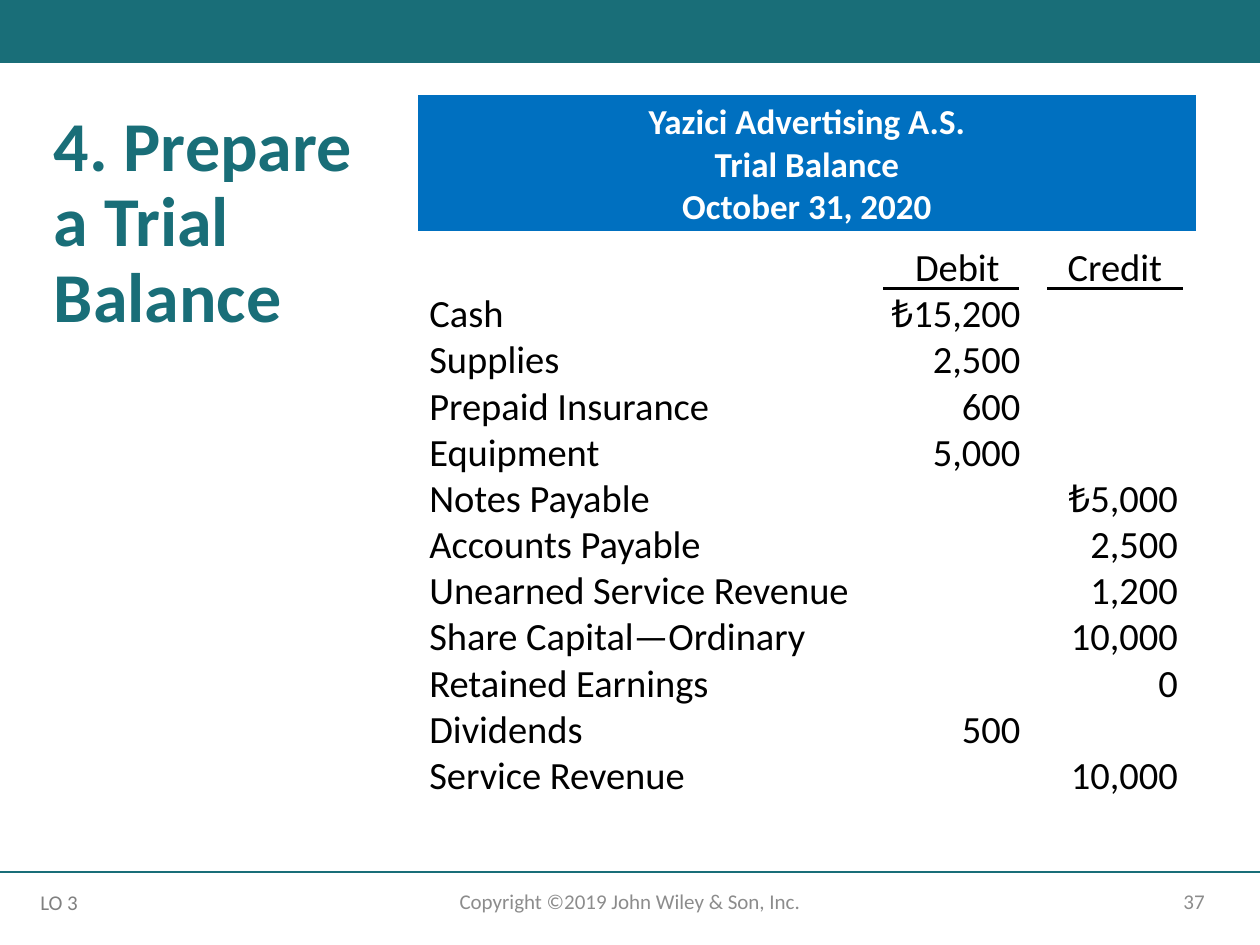
from lxml.etree import SubElement
from pptx import Presentation
from pptx.dml.color import RGBColor
from pptx.enum.shapes import MSO_CONNECTOR, MSO_SHAPE
from pptx.enum.text import MSO_ANCHOR, PP_ALIGN
from pptx.oxml.ns import qn
from pptx.util import Inches, Pt

TEAL = RGBColor(0x19, 0x6E, 0x78)
BLUE = RGBColor(0x00, 0x70, 0xC0)
WHITE = RGBColor(0xFF, 0xFF, 0xFF)
BLACK = RGBColor(0x00, 0x00, 0x00)
FOOTER_GRAY = RGBColor(0x8C, 0x8C, 0x8C)
OBJECTIVE_GRAY = RGBColor(0x80, 0x80, 0x80)

HEADING = ["Yazici Advertising A.S.", "Trial Balance", "October 31, 2020"]
ACCOUNTS = [
    ("Cash", "₺15,200", ""),
    ("Supplies", "2,500", ""),
    ("Prepaid Insurance", "600", ""),
    ("Equipment", "5,000", ""),
    ("Notes Payable", "", "₺5,000"),
    ("Accounts Payable", "", "2,500"),
    ("Unearned Service Revenue", "", "1,200"),
    ("Share Capital—Ordinary", "", "10,000"),
    ("Retained Earnings", "", "0"),
    ("Dividends", "500", ""),
    ("Service Revenue", "", "10,000"),
]
COLUMN_TABS = [(4.19, "ctr"), (5.44, "ctr")]
AMOUNT_TABS = [(4.69, "r"), (5.94, "r")]


class SlideBuilder:
    font_name = "Calibri"

    def __init__(self, slide):
        self.slide = slide

    def style(self, paragraph, size, color, bold=False, align=PP_ALIGN.LEFT):
        paragraph.alignment = align
        font = paragraph.font
        font.name = self.font_name
        font.size = Pt(size)
        font.bold = bold
        font.color.rgb = color

    def band(self, left, top, width, height, color):
        band = self.slide.shapes.add_shape(
            MSO_SHAPE.RECTANGLE, Inches(left), Inches(top), Inches(width), Inches(height))
        band.shadow.inherit = False
        band.fill.solid()
        band.fill.fore_color.rgb = color
        band.line.fill.background()

    def rule(self, start, end, y, color, weight):
        rule = self.slide.shapes.add_connector(
            MSO_CONNECTOR.STRAIGHT, Inches(start), Inches(y), Inches(end), Inches(y))
        rule.line.color.rgb = color
        rule.line.width = Pt(weight)
        SubElement(rule._element.spPr, qn("a:effectLst"))

    def text(self, left, top, width, height, lines, size, color, bold=False,
             align=PP_ALIGN.LEFT, anchor=MSO_ANCHOR.TOP, spacing=None, inset=0.1, tabs=()):
        box = self.slide.shapes.add_textbox(
            Inches(left), Inches(top), Inches(width), Inches(height))
        frame = box.text_frame
        frame.word_wrap = True
        frame.vertical_anchor = anchor
        frame.margin_left = frame.margin_right = Inches(inset)
        frame.text = "\n".join(lines)
        for index, paragraph in enumerate(frame.paragraphs):
            if tabs:
                self.tab_stops(paragraph, tabs[min(index, len(tabs) - 1)])
            if spacing:
                paragraph.line_spacing = spacing
            self.style(paragraph, size, color, bold, align)

    def tab_stops(self, paragraph, stops):
        tab_list = SubElement(paragraph._p.get_or_add_pPr(), qn("a:tabLst"))
        for position, alignment in stops:
            SubElement(tab_list, qn("a:tab"), pos=str(Inches(position)), algn=alignment)

    def heading_table(self, left, top, width, height, lines):
        table = self.slide.shapes.add_table(
            1, 1, Inches(left), Inches(top), Inches(width), Inches(height)).table
        cell = table.cell(0, 0)
        cell.text = "\n".join(lines)
        cell.vertical_anchor = MSO_ANCHOR.MIDDLE
        cell.margin_left = cell.margin_right = 0
        for paragraph in cell.text_frame.paragraphs:
            self.style(paragraph, 20, WHITE, True, PP_ALIGN.CENTER)
        for side, weight in (("L", 1), ("R", 1), ("T", 1), ("B", 3)):
            border = SubElement(cell._tc.get_or_add_tcPr(), qn(f"a:ln{side}"), w=str(Pt(weight)))
            fill = SubElement(border, qn("a:solidFill"))
            SubElement(fill, qn("a:srgbClr"), val=str(WHITE))
        cell.fill.solid()
        cell.fill.fore_color.rgb = BLUE


def main():
    presentation = Presentation()
    presentation.slide_width = Inches(10)
    presentation.slide_height = Inches(7.5)
    builder = SlideBuilder(presentation.slides.add_slide(presentation.slide_layouts[6]))

    builder.band(0, 0, 10, 0.5, TEAL)
    builder.rule(0, 10, 6.92, TEAL, 1)
    builder.text(0.33, 0.83, 2.83, 1.92, ["4. Prepare a Trial Balance"], 40, TEAL,
                 bold=True, spacing=0.9)

    builder.heading_table(3.31, 0.75, 6.19, 1.1, HEADING)
    balance_lines = ["\tDebit\tCredit"]
    balance_lines += ["\t".join(account).rstrip("\t") for account in ACCOUNTS]
    builder.text(3.31, 1.88, 6.27, 4.54, balance_lines, 22, BLACK,
                 tabs=[COLUMN_TABS, AMOUNT_TABS])
    for column_start in (7.01, 8.31):
        builder.rule(column_start, column_start + 1.08, 2.29, BLACK, 1.5)

    builder.text(7.06, 6.95, 2.6, 0.4, ["37"], 12, FOOTER_GRAY,
                 align=PP_ALIGN.RIGHT, anchor=MSO_ANCHOR.MIDDLE)
    builder.text(3.31, 6.95, 3.38, 0.4, ["Copyright ©2019 John Wiley & Son, Inc."], 12,
                 FOOTER_GRAY, align=PP_ALIGN.CENTER, anchor=MSO_ANCHOR.MIDDLE)
    builder.text(0.32, 7.01, 0.46, 0.3, ["LO 3"], 12, OBJECTIVE_GRAY, inset=0)

    presentation.save("out.pptx")


if __name__ == "__main__":
    main()
